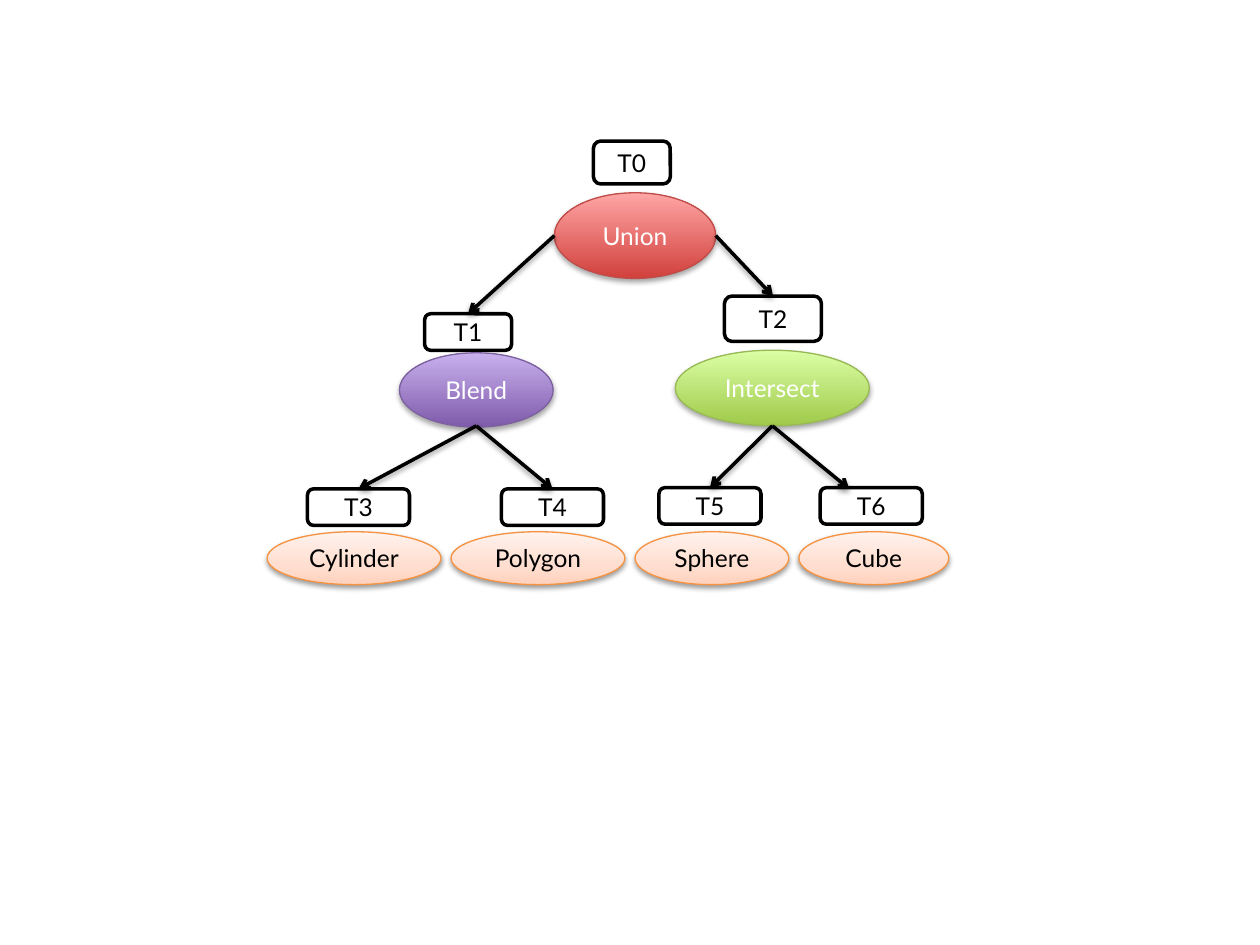
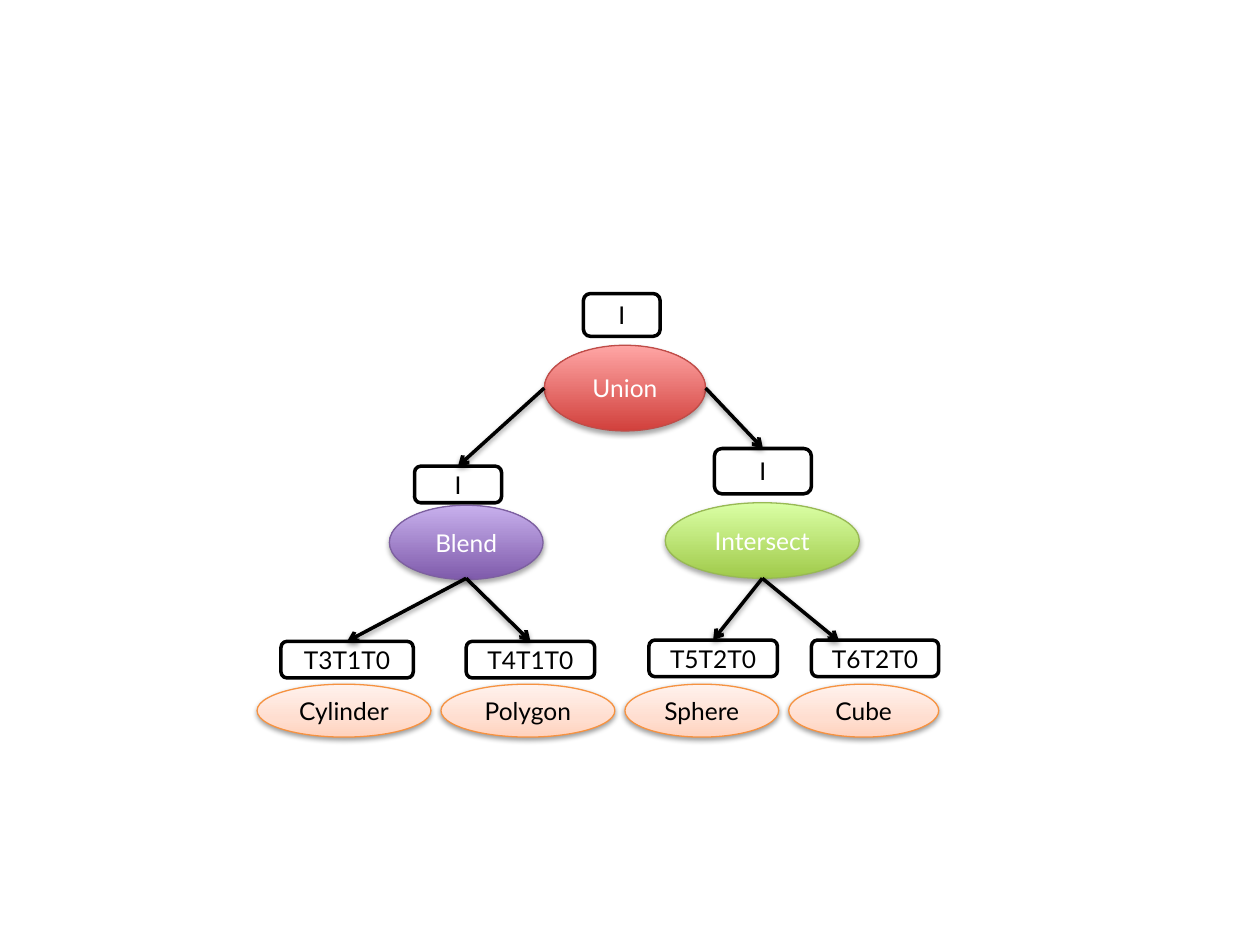
from collections import namedtuple
from copy import deepcopy

from lxml.etree import SubElement
from pptx import Presentation
from pptx.dml.color import RGBColor
from pptx.enum.shapes import MSO_CONNECTOR, MSO_SHAPE
from pptx.enum.text import MSO_ANCHOR, PP_ALIGN
from pptx.oxml.ns import qn
from pptx.util import Inches, Pt

BLACK = RGBColor(0x00, 0x00, 0x00)
WHITE = RGBColor(0xFF, 0xFF, 0xFF)
RED_LINE = RGBColor(0xBF, 0x4C, 0x48)
RED_DARK = RGBColor(0xD1, 0x40, 0x3C)
RED_LIGHT = RGBColor(0xFF, 0xA6, 0xA5)
GREEN_LINE = RGBColor(0x98, 0xB9, 0x55)
GREEN_DARK = RGBColor(0xA0, 0xCA, 0x4A)
GREEN_LIGHT = RGBColor(0xDA, 0xFF, 0xA5)
PURPLE_LINE = RGBColor(0x7D, 0x60, 0xA0)
PURPLE_DARK = RGBColor(0x7F, 0x5B, 0xAB)
PURPLE_LIGHT = RGBColor(0xC8, 0xB0, 0xED)
ORANGE_LINE = RGBColor(0xF6, 0x92, 0x40)
ORANGE_DARK = RGBColor(0xFF, 0xD2, 0xBD)
ORANGE_MIDDLE = RGBColor(0xFF, 0xDE, 0xD0)
ORANGE_LIGHT = RGBColor(0xFF, 0xF2, 0xED)

Look = namedtuple("Look", "stops line text shadow")
Shadow = namedtuple("Shadow", "opacity distance")
STRONG = Shadow(35, 1.8)
SOFT = Shadow(38, 1.6)

# Gradient stops run from the bottom of the ellipse to its top.
RED = Look([(0, RED_DARK), (1, RED_LIGHT)], RED_LINE, WHITE, STRONG)
GREEN = Look([(0, GREEN_DARK), (1, GREEN_LIGHT)], GREEN_LINE, WHITE, STRONG)
PURPLE = Look([(0, PURPLE_DARK), (1, PURPLE_LIGHT)], PURPLE_LINE, WHITE, STRONG)
ORANGE = Look([(0, ORANGE_DARK), (0.35, ORANGE_MIDDLE), (1, ORANGE_LIGHT)],
              ORANGE_LINE, BLACK, SOFT)

# Operators: name, ellipse (left, top, width, height), look, tag box.
OPERATORS = [
    ("Union", (4.4, 1.53, 1.28, 0.68), RED, (4.71, 1.12, 0.61, 0.34)),
    ("Intersect", (5.36, 2.78, 1.54, 0.6), GREEN, (5.75, 2.35, 0.77, 0.36)),
    ("Blend", (3.17, 2.8, 1.22, 0.59), PURPLE, (3.37, 2.49, 0.69, 0.29)),
]

# Primitives: name, ellipse left and width, tag top, arrow start.
BLEND_BOTTOM = (3.78, 3.38)
INTERSECT_BOTTOM = (6.13, 3.38)
PRIMITIVES = [
    ("Cylinder", 2.12, 1.38, 3.88, BLEND_BOTTOM),
    ("Polygon", 3.58, 1.38, 3.88, BLEND_BOTTOM),
    ("Sphere", 5.04, 1.22, 3.87, INTERSECT_BOTTOM),
    ("Cube", 6.34, 1.19, 3.87, INTERSECT_BOTTOM),
]
PRIMITIVE_TOP, PRIMITIVE_HEIGHT, TAG_HEIGHT = 4.22, 0.42, 0.29
CUBE_TIP = (6.74, 3.88)

# Slides: tree offset, operator tags, primitive tags (text, left, width).
SLIDES = [
    ((0, 0), ["T0", "T2", "T1"],
     [("T3", 2.44, 0.81), ("T4", 3.98, 0.81),
      ("T5", 5.23, 0.81), ("T6", 6.51, 0.81)]),
    ((-0.08, 1.21), ["I", "I", "I"],
     [("T3T1T0", 2.31, 1.05), ("T4T1T0", 3.78, 1.02),
      ("T5T2T0", 5.23, 1.02), ("T6T2T0", 6.52, 1.01)]),
]


class TreePainter:
    """Draws the parts of a modelling tree on the current slide."""

    font_name = "Lato"
    font_size = Pt(14)
    heavy_line = Pt(2)
    thin_line = Pt(0.75)

    def __init__(self, deck):
        """Keep the deck."""
        self.deck = deck

    def start(self, offset):
        """Add a blank slide with one group, shifted by the offset."""
        layout = self.deck.slide_layouts.get_by_name("Blank")
        self.slide = self.deck.slides.add_slide(layout)
        self.shapes = self.slide.shapes.add_group_shape().shapes
        self.offset = offset

    def place(self, x, y):
        """Return a shifted point as lengths."""
        return Inches(x + self.offset[0]), Inches(y + self.offset[1])

    def box(self, kind, bounds, text, color):
        """Add a shape with centred text and no shadow."""
        left, top, width, height = bounds
        box = self.shapes.add_shape(kind, *self.place(left, top),
                                    Inches(width), Inches(height))
        box.shadow.inherit = False
        frame = box.text_frame
        frame.word_wrap = True
        frame.vertical_anchor = MSO_ANCHOR.MIDDLE
        para = frame.paragraphs[0]
        para.alignment = PP_ALIGN.CENTER
        span = para.add_run()
        span.text = text
        formats = {"name": self.font_name, "size": self.font_size}
        for name, value in formats.items():
            setattr(span.font, name, value)
        span.font.color.rgb = color
        return box

    def outline(self, line, color, width):
        """Set the colour and width of a line."""
        line.color.rgb = color
        line.width = width

    def shade(self, effects, shadow):
        """Put a downward shadow in an effect list."""
        values = {"blurRad": Pt(3.1), "dist": Pt(shadow.distance),
                  "dir": 90 * 60000, "rotWithShape": 0}
        outer = SubElement(effects, qn("a:outerShdw"))
        for name, value in values.items():
            outer.set(name, str(value))
        color = SubElement(outer, qn("a:srgbClr"), val=str(BLACK))
        SubElement(color, qn("a:alpha"), val=str(shadow.opacity * 1000))

    def tag(self, bounds, text):
        """Add a white rounded tag."""
        box = self.box(MSO_SHAPE.ROUNDED_RECTANGLE, bounds, text, BLACK)
        box.fill.solid()
        box.fill.fore_color.rgb = WHITE
        self.outline(box.line, BLACK, self.heavy_line)

    def node(self, bounds, text, look):
        """Add an ellipse with a gradient and a shadow."""
        node = self.box(MSO_SHAPE.OVAL, bounds, text, look.text)
        node.fill.gradient()
        node.fill.gradient_angle = 90
        stop_list = node.element.spPr.find(".//" + qn("a:gsLst"))
        while len(stop_list) < len(look.stops):
            stop_list.append(deepcopy(stop_list[0]))
        for stop, (position, color) in zip(node.fill.gradient_stops, look.stops):
            stop.position = position
            stop.color.rgb = color
        self.outline(node.line, look.line, self.thin_line)
        self.shade(node.element.spPr.find(qn("a:effectLst")), look.shadow)

    def arrow(self, start, end):
        """Add an arrow between two points."""
        arrow = self.shapes.add_connector(
            MSO_CONNECTOR.STRAIGHT, *self.place(*start), *self.place(*end))
        self.outline(arrow.line, BLACK, self.heavy_line)
        properties = arrow.element.spPr
        SubElement(properties.find(qn("a:ln")), qn("a:tailEnd"), type="arrow")
        self.shade(SubElement(properties, qn("a:effectLst")), SOFT)


def top_center(bounds):
    """Return the middle of the upper edge."""
    left, top, width, _ = bounds
    return left + width / 2, top


def draw_operators(painter, tags):
    """Draw the operators and the arrows that leave the root."""
    for (name, bounds, look, tag_bounds), text in zip(OPERATORS, tags):
        painter.tag(tag_bounds, text)
        painter.node(bounds, name, look)
    root, right_child, left_child = OPERATORS
    left, top, width, height = root[1]
    middle = top + height / 2
    painter.arrow((left, middle), top_center(left_child[3]))
    painter.arrow((left + width, middle), top_center(right_child[3]))


def draw_primitives(painter, tags):
    """Draw the primitives, their tags and the arrows to them."""
    arrows = []
    for primitive, (text, tag_left, tag_width) in zip(PRIMITIVES, tags):
        name, left, width, tag_top, start = primitive
        tag_bounds = (tag_left, tag_top, tag_width, TAG_HEIGHT)
        painter.tag(tag_bounds, text)
        painter.node((left, PRIMITIVE_TOP, width, PRIMITIVE_HEIGHT), name, ORANGE)
        tip = CUBE_TIP if name == "Cube" else top_center(tag_bounds)
        arrows.append((start, tip))
    for start, tip in arrows:
        painter.arrow(start, tip)


def main():
    """Build and save the deck."""
    deck = Presentation()
    deck.slide_width, deck.slide_height = Inches(10), Inches(7.5)
    painter = TreePainter(deck)
    for offset, operator_tags, primitive_tags in SLIDES:
        painter.start(offset)
        draw_operators(painter, operator_tags)
        draw_primitives(painter, primitive_tags)
    deck.save("out.pptx")


main()
